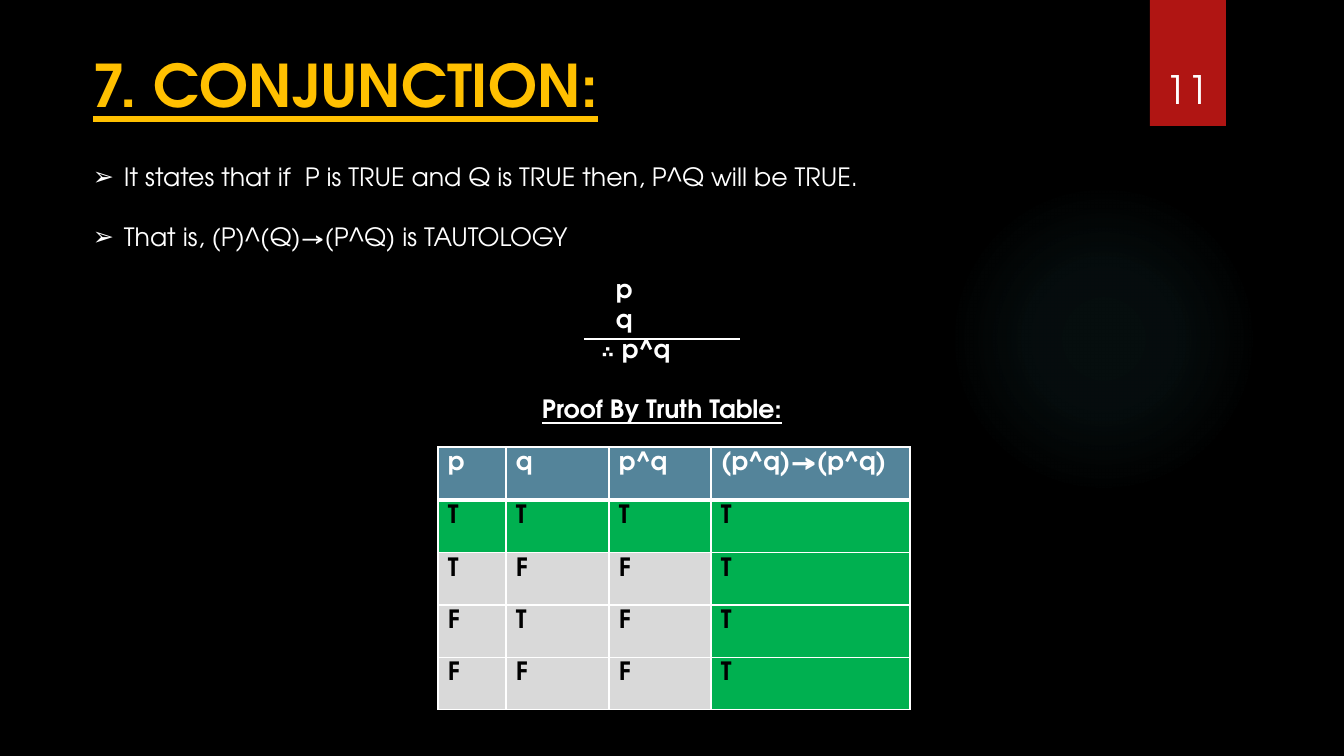
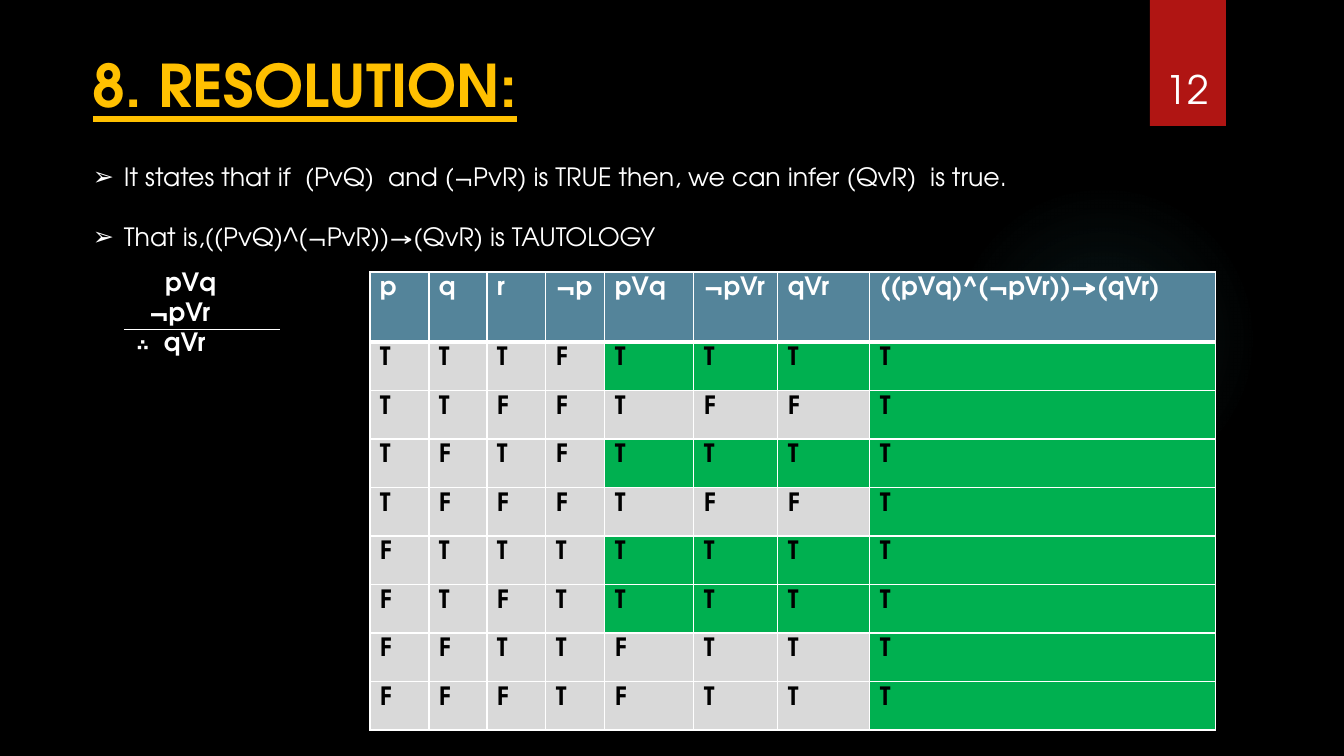
from pptx import Presentation
from pptx.dml.color import RGBColor
from pptx.enum.shapes import MSO_CONNECTOR as LINE, MSO_SHAPE as SHAPE
from pptx.enum.text import MSO_ANCHOR as ANCHOR, MSO_AUTO_SIZE as FIT, PP_ALIGN as ALIGN
from pptx.oxml import parse_xml
from pptx.oxml.ns import nsdecls
from pptx.util import Emu, Pt

# Content: "green" is the first column lit when it and all to its right are true
SLIDES = [
    dict(
        number="11",
        title="7. CONJUNCTION:",
        points=["It states that if  P is TRUE and Q is TRUE then, P^Q will be TRUE.",
                "That is, (P)^(Q)→(P^Q) is TAUTOLOGY"],
        proof=dict(lines=["p", "q", "∴ p^q"], indents=[32, 32, 17],
                   left=584, top=268, rule=339),
        label=("Proof By Truth Table:", 542, 388),
        table=dict(left=438, top=447, height=263, head=53, green=0,
                   names=["p", "q", "p^q", "(p^q)→(p^q)"],
                   widths=[68, 103, 102, 199],
                   rows=["TTTT", "TFFT", "FTFT", "FFFT"]),
    ),
    dict(
        number="12",
        title="8. RESOLUTION:",
        points=["It states that if  (PvQ)  and (¬PvR) is TRUE then, we can infer (QvR)  is true.",
                "That is,((PvQ)^(¬PvR))→(QvR) is TAUTOLOGY"],
        proof=dict(lines=["pVq", "¬pVr", "∴  qVr"], indents=[41, 25, 12],
                   left=124, top=261, rule=330),
        label=None,
        table=dict(left=370, top=272, height=458, head=70, green=4,
                   names=["p", "q", "r", "¬p", "pVq", "¬pVr", "qVr",
                          "((pVq)^(¬pVr))→(qVr)"],
                   widths=[59, 58, 59, 59, 89, 84, 92, 346],
                   rows=["TTTFTTTT", "TTFFTFFT", "TFTFTTTT", "TFFFTFFT",
                         "FTTTTTTT", "FTFTTTTT", "FFTTFTTT", "FFFTFTTT"]),
    ),
]

# Shared style
FONT = "TeX Gyre Adventor"
BLACK = RGBColor(0, 0, 0)
WHITE = RGBColor(255, 255, 255)
GOLD = RGBColor(0xFF, 0xC0, 0x00)
RED = RGBColor(0xB0, 0x15, 0x13)
STEEL = RGBColor(0x54, 0x84, 0x9A)
GREEN = RGBColor(0x00, 0xB0, 0x50)
GREY = RGBColor(0xD9, 0xD9, 0xD9)
GLOW = RGBColor(0x50, 0xB9, 0xC1)
STOPS = [(0, 7), (36, 6), (69, 0)]
SCALE = 914400 / 100.8


def px(n):
    return Emu(round(n * SCALE))


def area(*box):
    return [px(n) for n in box]


def place(shape, *box):
    shape.left, shape.top, shape.width, shape.height = area(*box)


def write(frame, lines, size=18, color=WHITE, bold=False, under=False,
          align=ALIGN.LEFT, space=1.0, indents=None, bullet=None):
    for i, line in enumerate(lines):
        para = frame.paragraphs[0] if i == 0 else frame.add_paragraph()
        para.alignment, para.line_spacing = align, space
        para.space_before = para.space_after = Pt(0)
        props = para._p.get_or_add_pPr()
        if indents:
            props.set("marL", str(px(indents[i])))
        if bullet:
            props.set("indent", str(-px(indents[i])))
            props.append(parse_xml(f'<a:buChar {nsdecls("a")} char="{bullet}"/>'))
        run = para.add_run()
        run.text = line
        font = run.font
        font.name, font.size, font.bold, font.underline = FONT, Pt(size), bold, under
        font.color.rgb = color


def frame_of(shape, anchor=ANCHOR.TOP, side=10):
    frame = shape.text_frame
    frame.word_wrap, frame.auto_size = True, FIT.NONE
    frame.vertical_anchor = anchor
    frame.margin_left = frame.margin_right = px(side)
    frame.margin_top = frame.margin_bottom = px(5)
    return frame


def add_text(slide, box, lines, anchor=ANCHOR.TOP, side=0, **look):
    shape = slide.shapes.add_textbox(*area(*box))
    write(frame_of(shape, anchor, side), lines, **look)


def add_decor(slide):
    # Soft round glow
    glow = slide.shapes.add_shape(SHAPE.OVAL, *area(949, 184, 310, 310))
    stops = "".join(
        f'<a:gs pos="{pos * 1000}"><a:srgbClr val="{GLOW}">'
        f'<a:alpha val="{alpha * 1000}"/></a:srgbClr></a:gs>' for pos, alpha in STOPS)
    glow._element.spPr.append(parse_xml(
        f'<a:gradFill {nsdecls("a")}><a:gsLst>{stops}</a:gsLst><a:path path="circle">'
        '<a:fillToRect l="50000" t="50000" r="50000" b="50000"/></a:path></a:gradFill>'))
    # Ribbon behind the number
    ribbon = slide.shapes.add_shape(SHAPE.RECTANGLE, *area(1150, 0, 76, 126))
    ribbon.fill.solid()
    ribbon.fill.fore_color.rgb = RED
    for shape in (glow, ribbon):
        shape.line.fill.background()
        shape.shadow.inherit = False


def add_rule(slide, left, top, width):
    rule = slide.shapes.add_connector(LINE.STRAIGHT, *area(left, top, left + width, top))
    rule.line.color.rgb, rule.line.width = WHITE, Pt(0.75)
    rule._element.spPr.append(parse_xml(f'<a:effectLst {nsdecls("a")}/>'))


def paint(cell, text, fill, ink, top, bottom):
    props = cell._tc.get_or_add_tcPr()
    for side, width in zip("LRTB", (1, 1, top, bottom)):
        props.append(parse_xml(
            f'<a:ln{side} {nsdecls("a")} w="{Pt(width)}"><a:solidFill>'
            f'<a:srgbClr val="{WHITE}"/></a:solidFill></a:ln{side}>'))
    cell.fill.solid()
    cell.fill.fore_color.rgb = fill
    cell.margin_left = cell.margin_right = px(10)
    cell.margin_top = cell.margin_bottom = px(5)
    write(cell.text_frame, [text], color=ink, bold=True)


def add_truth(slide, left, top, height, head, green, names, widths, rows):
    grid = [names, *rows]
    table = slide.shapes.add_table(
        len(grid), len(names), *area(left, top, sum(widths), height)).table
    for col, width in zip(table.columns, widths):
        col.width = px(width)
    for r, row in enumerate(grid):
        table.rows[r].height = px((height - head) / len(rows) if r else head)
        lit = set(row[green:]) == {"T"}
        for c, text in enumerate(row):
            on = c == len(names) - 1 or (lit and c >= green)
            fill = STEEL if r == 0 else GREEN if on else GREY
            paint(table.cell(r, c), text, fill, BLACK if r else WHITE,
                  top=3 if r == 1 else 1, bottom=1 if r else 3)


# Build the slides
deck = Presentation()
deck.slide_width, deck.slide_height = px(1344), px(756)
back = deck.slide_master.background.fill
back.solid()
back.fore_color.rgb = BLACK

for item in SLIDES:
    slide = deck.slides.add_slide(deck.slide_layouts[1])
    add_decor(slide)
    title, body = slide.placeholders
    place(title, 83, 44, 940, 99)
    write(frame_of(title), [item["title"]], size=42, color=GOLD, bold=True, under=True)
    place(body, 83, 126, 1233, 132)
    write(frame_of(body), item["points"], space=2.0, indents=[31, 31], bullet="➢")

    proof = item["proof"]
    add_text(slide, (proof["left"], proof["top"], 156, 100), proof["lines"],
             bold=True, indents=proof["indents"])
    add_rule(slide, proof["left"], proof["rule"], 156)
    if item["label"]:
        label, left, top = item["label"]
        add_text(slide, (left, top, 270, 40), [label], bold=True, under=True)
    add_text(slide, (1141, 32, 93, 85), [item["number"]], anchor=ANCHOR.BOTTOM,
             side=10, size=28, align=ALIGN.CENTER)
    add_truth(slide, **item["table"])

deck.save("out.pptx")
